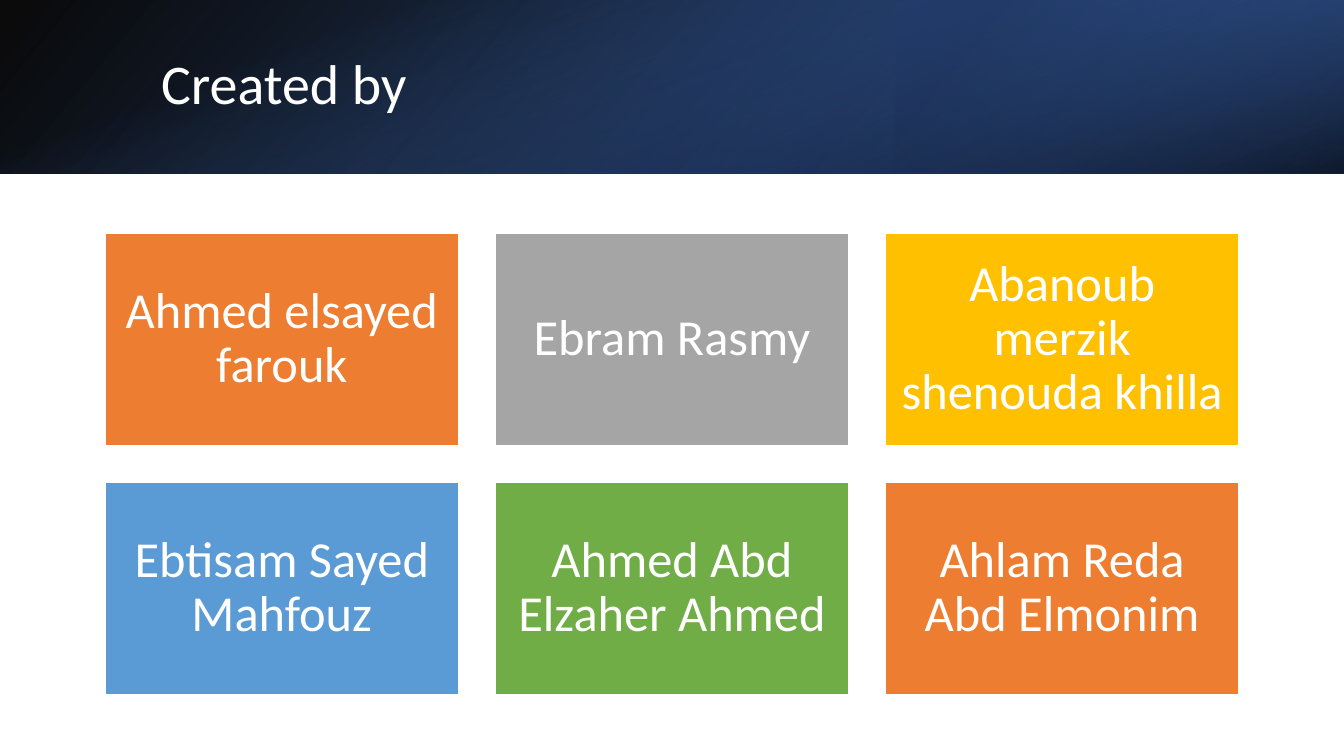
from dataclasses import dataclass

from pptx import Presentation
from pptx.dml.color import RGBColor
from pptx.enum.shapes import MSO_SHAPE
from pptx.enum.text import MSO_ANCHOR, PP_ALIGN
from pptx.oxml.ns import qn
from pptx.slide import Slide
from pptx.text.text import TextFrame
from pptx.util import Inches, Pt


@dataclass(frozen=True)
class Theme:
    """Colours, font and type sizes."""

    font: str = "Calibri"
    white: str = "FFFFFF"
    black: str = "000000"
    navy: str = "203864"
    deep_blue: str = "2F5597"
    blue: str = "4472C4"
    orange: str = "ED7D31"
    gray: str = "A5A5A5"
    gold: str = "FFC000"
    sky: str = "5B9BD5"
    green: str = "70AD47"
    title_size: int = 40
    name_size: int = 36


@dataclass(frozen=True)
class Stop:
    """A gradient stop; position and opacity are percentages."""

    position: int
    color: str
    opacity: int


@dataclass(frozen=True)
class Band:
    """A gradient layer of the header, with a clockwise gradient angle."""

    left: float
    top: float
    width: float
    height: float
    stops: tuple[Stop, Stop]
    angle: int
    rotation: int = 0
    flipped: bool = False


@dataclass(frozen=True)
class Card:
    """A team member and the card's colour."""

    name: str
    color: str


THEME = Theme()
SLIDE_WIDTH, SLIDE_HEIGHT = 13.33, 7.5
HEADER_HEIGHT = 1.72
BAND_OFFSET = (SLIDE_WIDTH - HEADER_HEIGHT) / 2

BANDS = (
    Band(0, 0, SLIDE_WIDTH, HEADER_HEIGHT,
         (Stop(0, THEME.black, 96), Stop(100, THEME.deep_blue, 100)), 140, flipped=True),
    Band(SLIDE_WIDTH * 2 / 3, 0, SLIDE_WIDTH / 3, HEADER_HEIGHT,
         (Stop(19, THEME.navy, 68), Stop(100, THEME.blue, 79)), 320, 180, True),
    Band(BAND_OFFSET, -BAND_OFFSET, HEADER_HEIGHT, SLIDE_WIDTH,
         (Stop(23, THEME.blue, 0), Stop(99, THEME.black, 74)), 340, 90),
)

CARDS = (
    Card("Ahmed elsayed farouk", THEME.orange),
    Card("Ebram Rasmy", THEME.gray),
    Card("Abanoub merzik shenouda khilla", THEME.gold),
    Card("Ebtisam Sayed Mahfouz", THEME.sky),
    Card("Ahmed Abd Elzaher Ahmed", THEME.green),
    Card("Ahlam Reda Abd Elmonim", THEME.orange),
)
COLUMNS = 3
GRID_LEFT, GRID_TOP = 1.04, 2.31
CARD_WIDTH, CARD_HEIGHT = 3.51, 2.11
GAP = 0.36
CARD_INSET = 0.15


def add_band(slide: Slide, band: Band) -> None:
    """Draw one gradient layer of the header."""
    shape = slide.shapes.add_shape(
        MSO_SHAPE.RECTANGLE, Inches(band.left), Inches(band.top),
        Inches(band.width), Inches(band.height))
    shape.shadow.inherit = False
    shape.line.fill.background()
    shape.rotation = band.rotation
    properties = shape.element.spPr
    if band.flipped:
        properties.find(qn("a:xfrm")).set("flipH", "1")
    shape.fill.gradient()
    shape.fill.gradient_angle = 360 - band.angle
    for gradient_stop, stop in zip(shape.fill.gradient_stops, band.stops):
        gradient_stop.position = stop.position / 100
        gradient_stop.color.rgb = RGBColor.from_string(stop.color)
    for color, stop in zip(properties.iter(qn("a:srgbClr")), band.stops):
        alpha = color.makeelement(qn("a:alpha"), {"val": str(stop.opacity * 1000)})
        color.append(alpha)


def write_text(text_frame: TextFrame, text: str, size: int, alignment: PP_ALIGN) -> None:
    """Set and format white, vertically centred text."""
    text_frame.text = text
    text_frame.word_wrap = True
    text_frame.vertical_anchor = MSO_ANCHOR.MIDDLE
    paragraph = text_frame.paragraphs[0]
    paragraph.alignment = alignment
    paragraph.line_spacing = 0.9
    font = paragraph.runs[0].font
    font.name = THEME.font
    font.size = Pt(size)
    font.color.rgb = RGBColor.from_string(THEME.white)


def add_title(slide: Slide, text: str) -> None:
    """Write the slide title over the header."""
    title = slide.shapes.add_textbox(Inches(1.5), Inches(0.38), Inches(10.98), Inches(0.96))
    write_text(title.text_frame, text, THEME.title_size, PP_ALIGN.LEFT)


def add_card(slide: Slide, card: Card, left: float, top: float) -> None:
    """Draw a coloured card with a member's name."""
    shape = slide.shapes.add_shape(
        MSO_SHAPE.RECTANGLE, Inches(left), Inches(top), Inches(CARD_WIDTH), Inches(CARD_HEIGHT))
    shape.shadow.inherit = False
    shape.fill.solid()
    shape.fill.fore_color.rgb = RGBColor.from_string(card.color)
    shape.line.color.rgb = RGBColor.from_string(THEME.white)
    shape.line.width = Pt(1)
    text_frame = shape.text_frame
    text_frame.margin_left = text_frame.margin_right = Inches(CARD_INSET)
    text_frame.margin_top = text_frame.margin_bottom = Inches(CARD_INSET)
    write_text(text_frame, card.name, THEME.name_size, PP_ALIGN.CENTER)


def main() -> None:
    """Build and save the slide."""
    presentation = Presentation()
    presentation.slide_width = Inches(SLIDE_WIDTH)
    presentation.slide_height = Inches(SLIDE_HEIGHT)
    slide = presentation.slides.add_slide(presentation.slide_layouts[6])
    for band in BANDS:
        add_band(slide, band)
    add_title(slide, "Created by")
    for index, card in enumerate(CARDS):
        row, column = divmod(index, COLUMNS)
        add_card(slide, card, GRID_LEFT + column * (CARD_WIDTH + GAP),
                 GRID_TOP + row * (CARD_HEIGHT + GAP))
    presentation.save("out.pptx")


if __name__ == "__main__":
    main()
